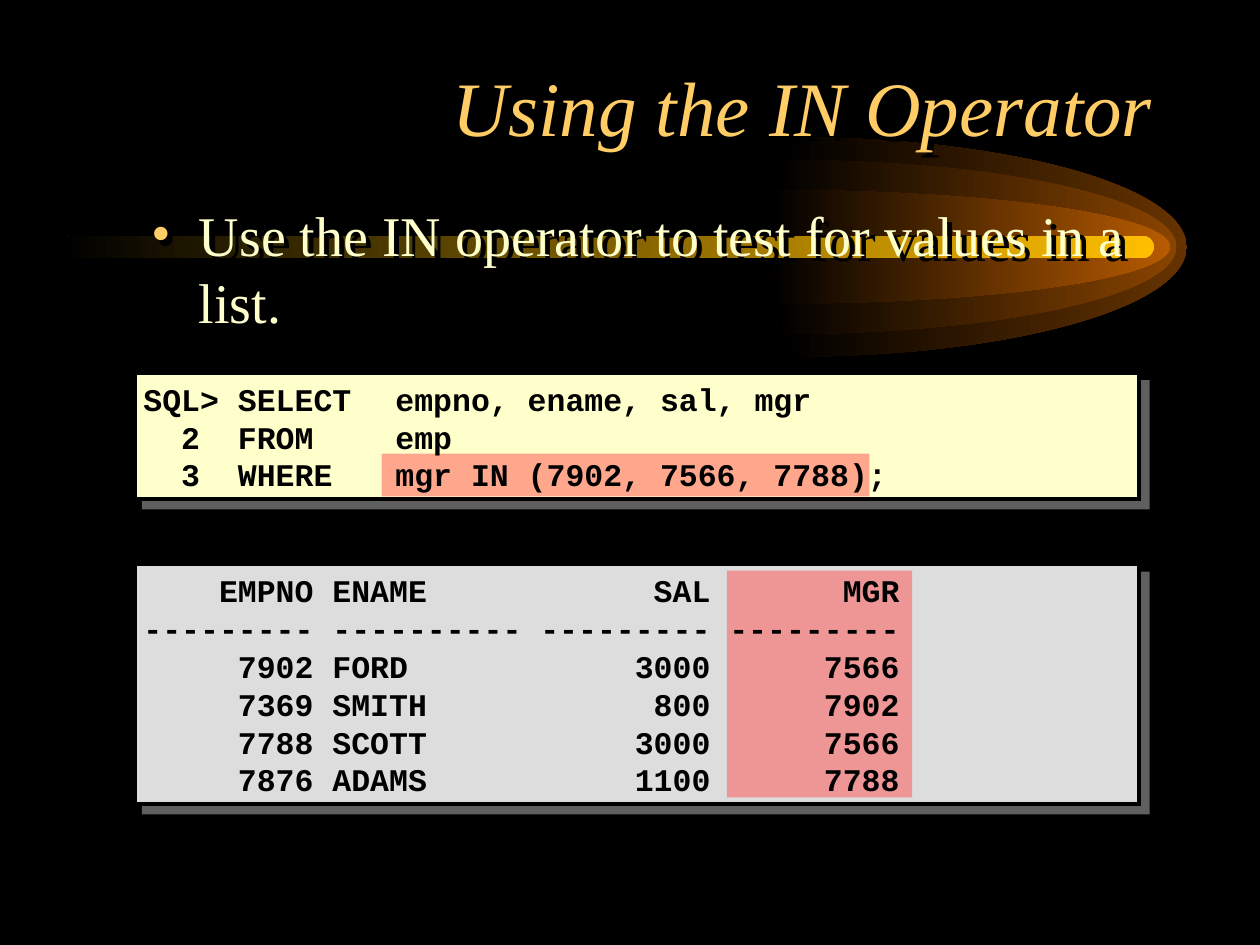
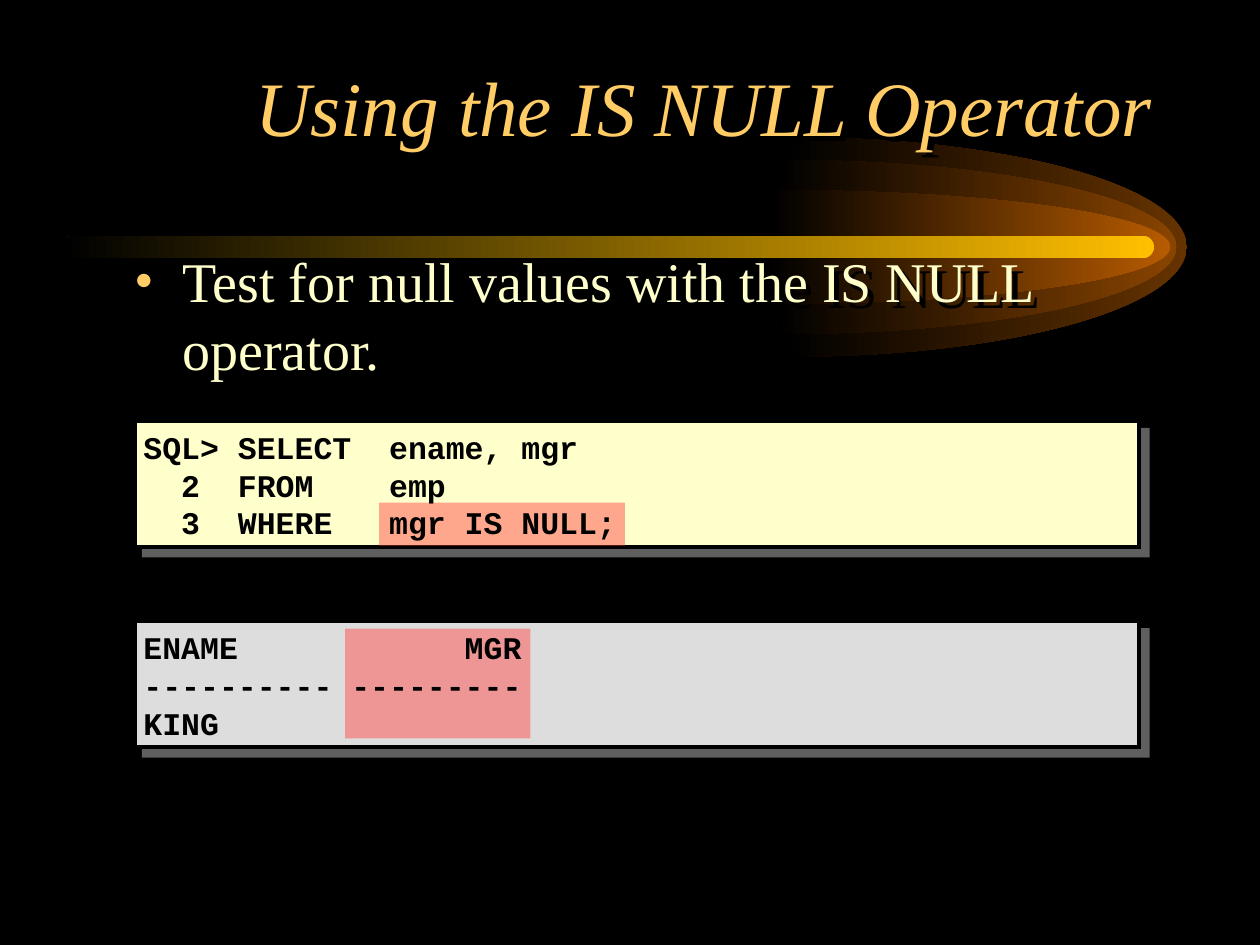
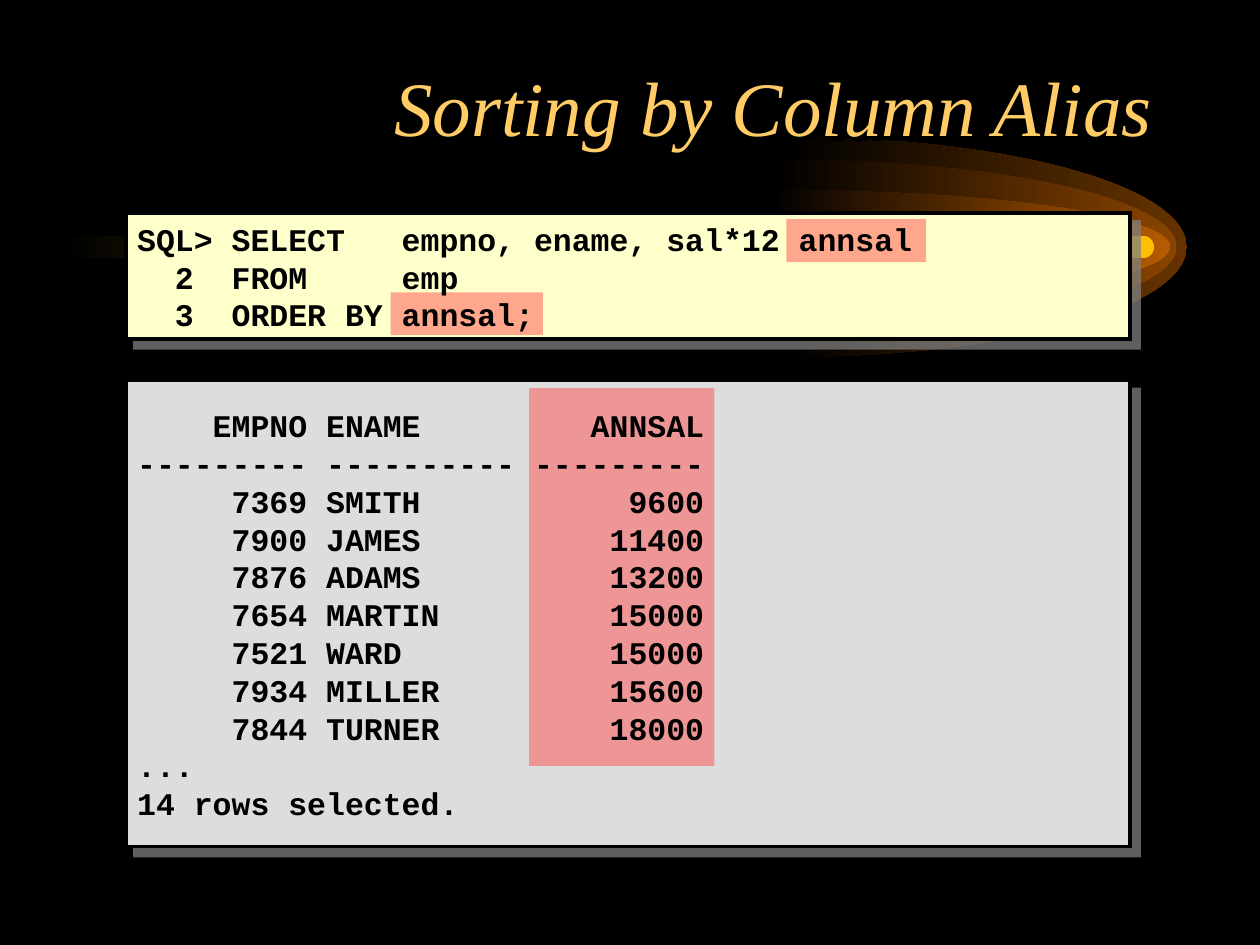
from dataclasses import dataclass
from typing import Sequence

from lxml import etree
from pptx import Presentation
from pptx.dml.color import RGBColor
from pptx.enum.shapes import MSO_SHAPE
from pptx.enum.text import MSO_ANCHOR, MSO_AUTO_SIZE, PP_ALIGN
from pptx.oxml.ns import qn
from pptx.util import Emu, Pt

RECTANGLE = MSO_SHAPE.RECTANGLE
ROUNDED_RECTANGLE = MSO_SHAPE.ROUNDED_RECTANGLE
TOP, MIDDLE = MSO_ANCHOR.TOP, MSO_ANCHOR.MIDDLE
LEFT, RIGHT = PP_ALIGN.LEFT, PP_ALIGN.RIGHT
NO_AUTOFIT = MSO_AUTO_SIZE.NONE

# Shared style
EMU_PER_PX = 9144  # 100 px to the inch
TITLE_ONLY = 5
SERIF, MONOSPACE = "Times New Roman", "Courier New"
COLORS = {
    "background": "000000",
    "title": "FFCC66",
    "body": "FFFFCC",
    "code": "000000",
    "query": "FFFFCC",
    "result": "DDDDDD",
    "highlight": "FF5050",
    "panel_shadow": "808080",
    "text_shadow": "000000",
    "flame_outer": "663300",
    "flame_middle": "894400",
    "flame_inner": "B75B00",
    "beam": "FFBF00",
}

PANEL_WIDTH = 797
CODE_WIDTH = 800
CODE_TABS = (131, 200)
BULLET_INDENT = 38
FLAME_CENTER_Y = 196
FLAME_LENGTH = 313
ELLIPSE_HANDLE = 0.55  # share of the radius that a quarter-ellipse handle spans


@dataclass(frozen=True)
class Box:
    left: int
    top: int
    width: int
    height: int


@dataclass(frozen=True)
class Flame:
    right: int
    half_height: int
    color: str


@dataclass(frozen=True)
class Panel:
    top: int
    height: int
    color: str
    code: str


@dataclass(frozen=True)
class SlideContent:
    title: str
    panel_left: int
    code_left: int
    panels: tuple[Panel, ...]
    highlights: tuple[Box, ...]
    bullet: str = ""
    bullet_box: Box | None = None


TITLE_BOX = Box(75, 42, 850, 125)
BEAM_BOX = Box(50, 187, 866, 18)
FLAMES = (
    Flame(942, 87, "flame_outer"),
    Flame(934, 69, "flame_middle"),
    Flame(929, 45, "flame_inner"),
)

# Slide contents
SLIDES = (
    SlideContent(
        title="Using the IN Operator",
        bullet="Use the IN operator to test for values in a list.",
        bullet_box=Box(110, 154, 808, 117),
        panel_left=107,
        code_left=104,
        panels=(
            Panel(296, 100, "query", """\
SQL> SELECT\tempno, ename, sal, mgr
  2  FROM \temp
  3  WHERE\tmgr IN (7902, 7566, 7788);"""),
            Panel(448, 190, "result", """\
    EMPNO ENAME            SAL       MGR
--------- ---------- --------- ---------
     7902 FORD            3000      7566
     7369 SMITH            800      7902
     7788 SCOTT           3000      7566
     7876 ADAMS           1100      7788"""),
        ),
        highlights=(Box(303, 360, 387, 34), Box(577, 453, 147, 180)),
    ),
    SlideContent(
        title="Using the IS NULL Operator",
        bullet="Test for null values with the IS NULL operator.",
        bullet_box=Box(97, 191, 808, 117),
        panel_left=107,
        code_left=104,
        panels=(
            Panel(334, 100, "query", """\
SQL> SELECT  ename, mgr
  2  FROM    emp
  3  WHERE   mgr IS NULL;"""),
            Panel(493, 100, "result", """\
ENAME            MGR
---------- ---------
KING"""),
        ),
        highlights=(Box(301, 399, 195, 34), Box(274, 499, 147, 87)),
    ),
    SlideContent(
        title="Sorting by Column Alias",
        panel_left=100,
        code_left=99,
        panels=(
            Panel(169, 100, "query", """\
SQL> SELECT   empno, ename, sal*12 annsal
  2  FROM     emp
  3  ORDER BY annsal;"""),
            Panel(302, 370, "result", """\
    EMPNO ENAME         ANNSAL
--------- ---------- ---------
     7369 SMITH           9600
     7900 JAMES          11400
     7876 ADAMS          13200
     7654 MARTIN         15000
     7521 WARD           15000
     7934 MILLER         15600
     7844 TURNER         18000
...
14 rows selected."""),
        ),
        highlights=(
            Box(310, 232, 121, 34),
            Box(420, 308, 147, 300),
            Box(624, 174, 111, 34),
        ),
    ),
)


# Units, colours and effects
def px(length: float) -> Emu:
    return Emu(round(length * EMU_PER_PX))


def bounds(box: Box) -> tuple[Emu, Emu, Emu, Emu]:
    return px(box.left), px(box.top), px(box.width), px(box.height)


def rgb(name: str) -> RGBColor:
    return RGBColor.from_string(COLORS[name])


def add_child(parent, tag: str, **attributes):
    return etree.SubElement(
        parent, qn(tag), {key: str(value) for key, value in attributes.items()}
    )


def set_shadow(shape, color: str, distance: int, opacity: int = 100) -> None:
    shape.shadow.inherit = False
    effects = shape.element.spPr.find(qn("a:effectLst"))
    shadow = add_child(effects, "a:outerShdw", blurRad=0, dist=px(distance),
                       dir=45 * 60000, algn="ctr", rotWithShape=0)
    shadow_color = add_child(shadow, "a:srgbClr", val=COLORS[color])
    add_child(shadow_color, "a:alpha", val=opacity * 1000)


def fade_to_left(shape, color: str) -> None:
    shape.fill.gradient()
    shape.fill.gradient_angle = 180
    for stop, name in zip(shape.fill.gradient_stops, (color, "background")):
        stop.color.rgb = rgb(name)
    shape.line.fill.background()
    shape.shadow.inherit = False


def add_rectangle(slide, box: Box, color: str):
    shape = slide.shapes.add_shape(RECTANGLE, *bounds(box))
    shape.fill.solid()
    shape.fill.fore_color.rgb = rgb(color)
    shape.line.fill.background()
    shape.shadow.inherit = False
    return shape


# Text
def write_text(shape, text: str, *, font: str, size: int, color: str,
               bold: bool = False, italic: bool = False, align=LEFT, anchor=TOP,
               bullet: str = "", tabs: Sequence[int] = ()) -> None:
    frame = shape.text_frame
    frame.word_wrap = True
    frame.auto_size = NO_AUTOFIT
    frame.vertical_anchor = anchor
    for index, line in enumerate(text.split("\n")):
        paragraph = frame.paragraphs[0] if index == 0 else frame.add_paragraph()
        paragraph.alignment = align
        properties = paragraph._p.get_or_add_pPr()
        if bullet:
            properties.set("marL", str(px(BULLET_INDENT)))
            properties.set("indent", str(px(-BULLET_INDENT)))
            bullet_color = add_child(properties, "a:buClr")
            add_child(bullet_color, "a:srgbClr", val=COLORS["title"])
            add_child(properties, "a:buFont", typeface=font)
            add_child(properties, "a:buChar", char=bullet)
        if tabs:
            tab_list = add_child(properties, "a:tabLst")
            for position in tabs:
                add_child(tab_list, "a:tab", pos=px(position), algn="l")
        run = paragraph.add_run()
        run.text = line
        run.font.name = font
        run.font.size = Pt(size)
        run.font.bold = bold
        run.font.italic = italic
        run.font.color.rgb = rgb(color)


# Comet behind every slide
def bend_lines(shape, first_lines: Sequence[int]) -> None:
    """Turn each run of three line segments into one cubic curve."""
    lines = list(shape.element.iter(qn("a:lnTo")))
    for first in first_lines:
        curve = etree.Element(qn("a:cubicBezTo"))
        lines[first].addprevious(curve)
        for line in lines[first:first + 3]:
            curve.append(line[0])
            line.getparent().remove(line)


def add_flame(shapes, flame: Flame) -> None:
    center_x = flame.right - FLAME_LENGTH
    top = FLAME_CENTER_Y - flame.half_height
    bottom = FLAME_CENTER_Y + flame.half_height
    handle_x = center_x + ELLIPSE_HANDLE * FLAME_LENGTH
    handle_y = ELLIPSE_HANDLE * flame.half_height
    points = (
        (center_x, top),
        (handle_x, top),
        (flame.right, FLAME_CENTER_Y - handle_y),
        (flame.right, FLAME_CENTER_Y),
        (flame.right, FLAME_CENTER_Y + handle_y),
        (handle_x, bottom),
        (center_x, bottom),
        (center_x - 5, bottom),
        (center_x, FLAME_CENTER_Y),
    )
    start, *others = [(px(x), px(y)) for x, y in points]
    builder = shapes.build_freeform(*start, scale=1.0)
    builder.add_line_segments(others, close=True)
    shape = builder.convert_to_shape()
    bend_lines(shape, (0, 3))
    fade_to_left(shape, flame.color)


def prepare_layout(layout, slide) -> None:
    """Give the layout its background and comet; the slide lends its drawing methods."""
    layout.background.fill.solid()
    layout.background.fill.fore_color.rgb = rgb("background")
    for placeholder in list(layout.placeholders)[1:]:
        layout.shapes.element.remove(placeholder.element)
    comet = slide.shapes.add_group_shape()
    for flame in FLAMES:
        add_flame(comet.shapes, flame)
    beam = comet.shapes.add_shape(ROUNDED_RECTANGLE, *bounds(BEAM_BOX))
    beam.adjustments[0] = 0.5
    fade_to_left(beam, "beam")
    layout.shapes.element.insert(2, comet.element)


# Slide parts
def add_title(slide, text: str) -> None:
    title = slide.shapes.title
    title.left, title.top, title.width, title.height = bounds(TITLE_BOX)
    title.fill.background()
    write_text(title, text, font=SERIF, size=44, color="title", italic=True, align=RIGHT)
    set_shadow(title, "text_shadow", 6)


def add_bullet(slide, text: str, box: Box) -> None:
    body = slide.shapes.add_textbox(*bounds(box))
    write_text(body, text, font=SERIF, size=32, color="body", bullet="•")
    set_shadow(body, "text_shadow", 6)


def add_panel(slide, panel: Panel, left: int) -> None:
    shape = add_rectangle(slide, Box(left, panel.top, PANEL_WIDTH, panel.height), panel.color)
    shape.line.color.rgb = rgb("code")
    shape.line.width = Pt(2)
    add_child(shape.element.spPr.find(qn("a:ln")), "a:miter", lim=800000)
    set_shadow(shape, "panel_shadow", 10, opacity=75)


def add_highlight(slide, box: Box) -> None:
    shape = add_rectangle(slide, box, "highlight")
    color = shape.element.spPr.find(f"{qn('a:solidFill')}/{qn('a:srgbClr')}")
    add_child(color, "a:alpha", val=50000)


def add_code(slide, panel: Panel, left: int) -> None:
    box = Box(left, panel.top - 1, CODE_WIDTH, panel.height + 3)
    code = slide.shapes.add_textbox(*bounds(box))
    write_text(code, panel.code, font=MONOSPACE, size=18, color="code", bold=True,
               anchor=MIDDLE, tabs=CODE_TABS)


def fill_slide(slide, content: SlideContent) -> None:
    for panel in content.panels:
        add_panel(slide, panel, content.panel_left)
    add_title(slide, content.title)
    if content.bullet_box:
        add_bullet(slide, content.bullet, content.bullet_box)
    for box in content.highlights:
        add_highlight(slide, box)
    for panel in content.panels:
        add_code(slide, panel, content.code_left)


def main() -> None:
    presentation = Presentation()
    presentation.slide_width, presentation.slide_height = px(1000), px(750)
    layout = presentation.slide_layouts[TITLE_ONLY]
    slides = [presentation.slides.add_slide(layout) for _ in SLIDES]
    prepare_layout(layout, slides[0])
    for slide, content in zip(slides, SLIDES):
        fill_slide(slide, content)
    presentation.save("out.pptx")


if __name__ == "__main__":
    main()
